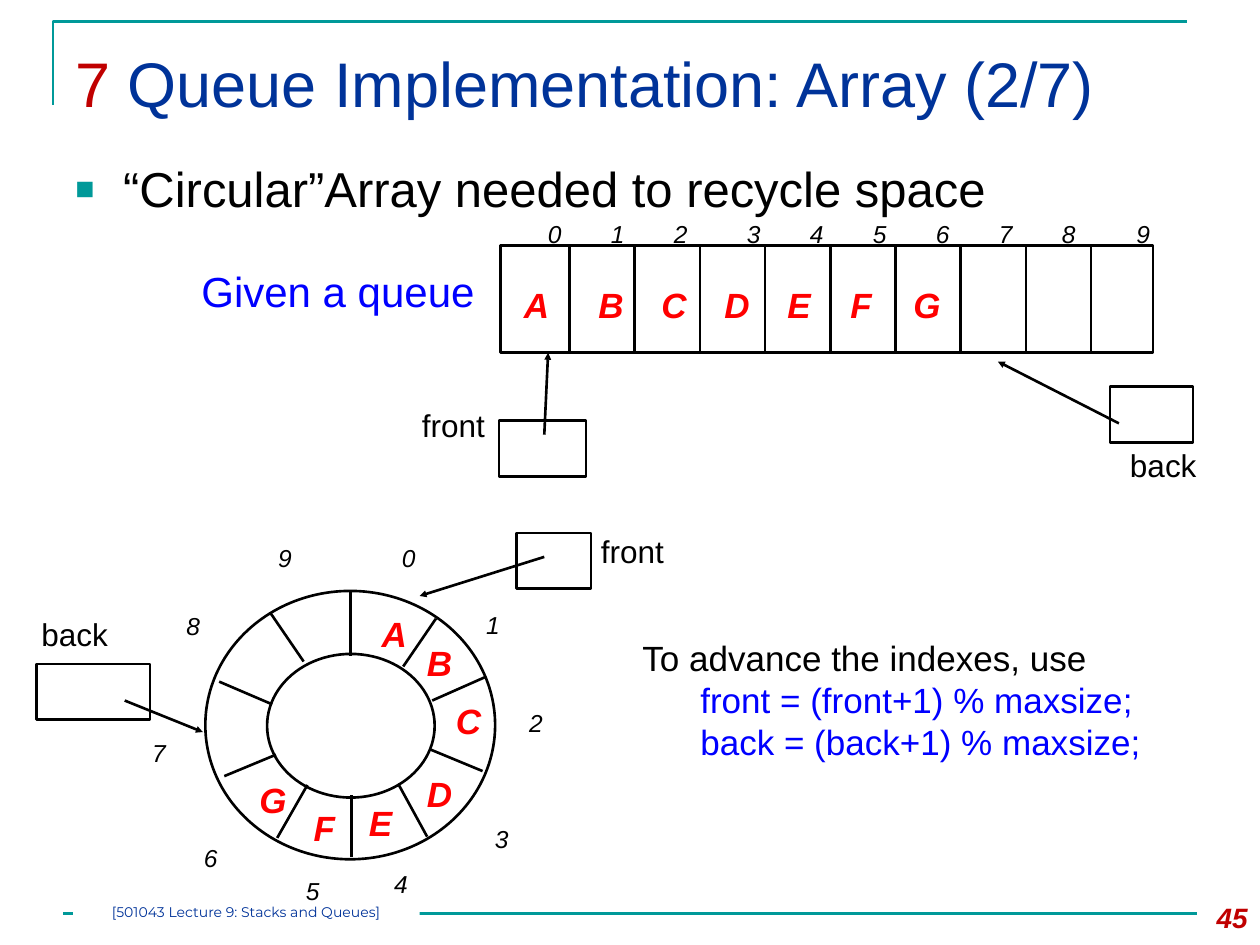
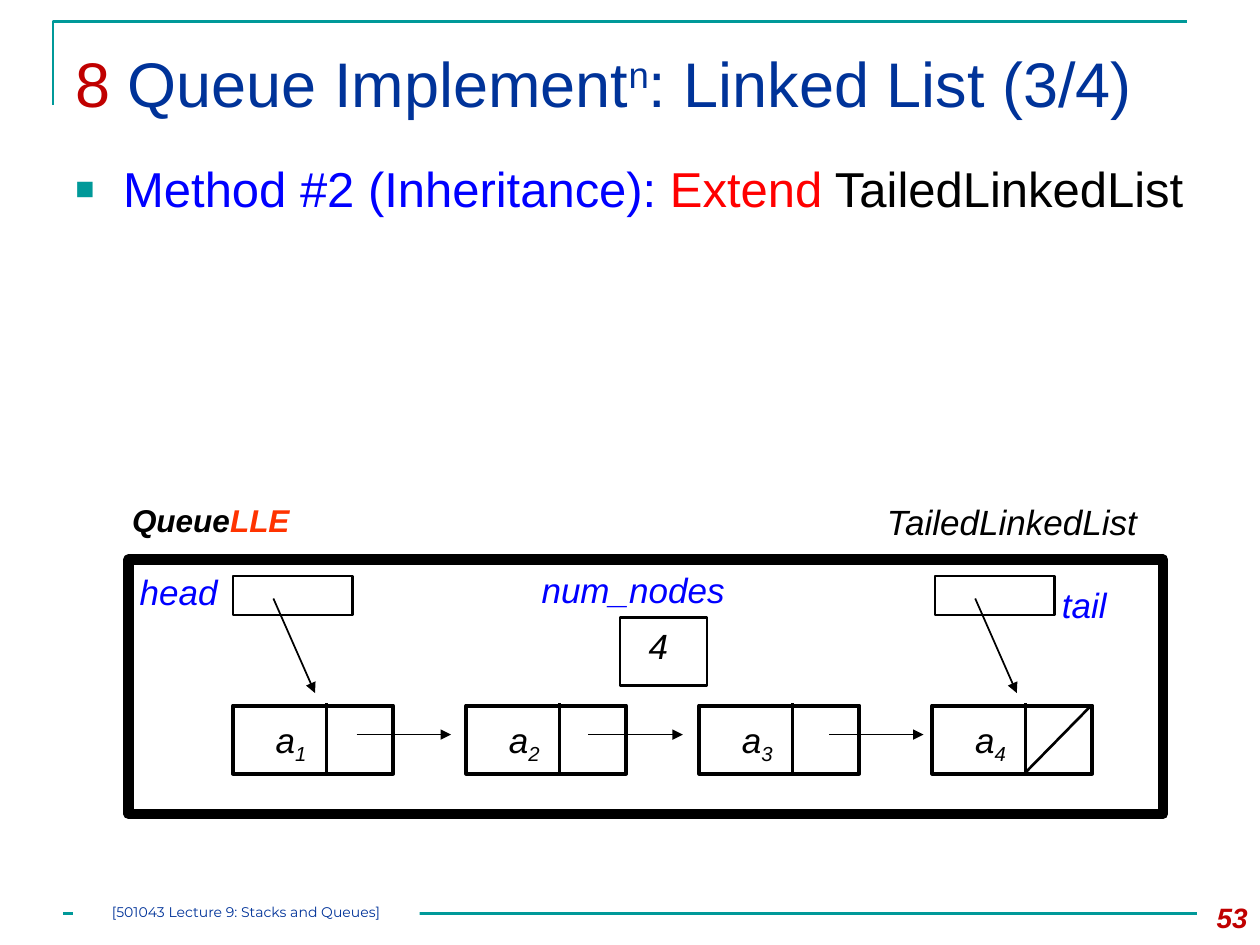
"""Builds two lecture slides on circular-array and linked-list queues."""
from lxml import etree
from pptx import Presentation, util as u
from pptx.dml.color import RGBColor
from pptx.enum import shapes, text
from pptx.oxml.ns import qn

TEAL = RGBColor(0x00, 0x99, 0x99)
NAVY = RGBColor(0x00, 0x33, 0x99)
CRIMSON = RGBColor(0xC0, 0x00, 0x00)
RED = RGBColor(0xFF, 0x00, 0x00)
ORANGE = RGBColor(0xFF, 0x33, 0x00)
BLUE = RGBColor(0x00, 0x00, 0xFF)
BLACK = RGBColor(0x00, 0x00, 0x00)
WHITE = RGBColor(0xFF, 0xFF, 0xFF)
CM_PER_UNIT = 2.54

FOOTER = "[501043 Lecture 9: Stacks and Queues]"
ARRAY_SLIDE = {
    "number": 45,
    "title": [("7 ", {"color": CRIMSON}), "Queue Implementation: Array (2/7)"],
    "bullet": ["“Circular”Array needed to recycle space"],
}
LIST_SLIDE = {
    "number": 53,
    "title": [("8 ", {"color": CRIMSON}), "Queue Implement", ("n", {"baseline": 30}),
              ": Linked List (3/4)"],
    "bullet": [("Method #2 (Inheritance): ", {"color": BLUE}), ("Extend", {"color": RED}),
               " TailedLinkedList"],
}

ITEMS = "ABCDEFG"
ITEM_WIDTHS = (0.4, 0.4, 0.4, 0.4, 0.39, 0.37, 0.42)
ARRAY_ITEMS = [(x, 2.2) for x in (4.06, 4.65, 5.15, 5.65, 6.15, 6.65, 7.15)]
RING_ITEMS = [(2.93, 4.81), (3.29, 5.04), (3.52, 5.5), (3.29, 6.08), (2.83, 6.31),
              (2.39, 6.35), (1.96, 6.13)]
ARRAY_INDEXES = [(x, 1.69) for x in
                 (4.25, 4.75, 5.25, 5.83, 6.33, 6.83, 7.33, 7.83, 8.33, 8.92)]
RING_INDEXES = [(3.09, 4.26), (3.76, 4.79), (4.1, 5.57), (3.83, 6.49), (3.03, 6.85),
                (2.33, 6.9), (1.52, 6.64), (1.11, 5.81), (1.38, 4.8), (2.11, 4.26)]
RINGS = [(1.63, 4.69, 2.3, 2.13), (2.12, 5.19, 1.33, 1.14)]
SPOKES = [(2.78, 4.69, 2.78, 5.21), (3.46, 4.91, 3.2, 5.29), (3.86, 5.37, 3.43, 5.56),
          (3.83, 6.12, 3.42, 5.95), (3.39, 6.64, 3.16, 6.22), (2.79, 6.8, 2.79, 6.31),
          (2.2, 6.65, 2.44, 6.23), (1.78, 6.16, 2.19, 5.99), (1.74, 5.41, 2.16, 5.59),
          (2.15, 4.87, 2.41, 5.25)]
POINTERS = [
    ("front", (3.25, 3.17, 0.71, 0.4), (3.96, 3.34, 0.69, 0.44), (4.32, 3.45, 4.35, 2.8)),
    ("back", (8.87, 3.49, 0.73, 0.4), (8.81, 3.07, 0.66, 0.44), (8.88, 3.36, 7.92, 2.87)),
    ("front", (4.67, 4.17, 0.71, 0.4), (4.1, 4.23, 0.59, 0.44), (4.32, 4.42, 3.33, 4.73)),
    ("back", (0.23, 4.83, 0.73, 0.4), (0.29, 5.27, 0.9, 0.44), (0.99, 5.56, 1.61, 5.81)),
]
ADVANCE = ["To advance the indexes, use"]
ADVANCE_CODE = ["front = (front+1) % maxsize;", "back = (back+1) % maxsize;"]

NODE_LEFT, NODE_STEP, NODE_COUNT = 1.85, 1.85, 4
NEXT_LINKS = (2.83, 4.67, 6.58)
ENDS = [("head", (1.01, 4.48, 0.82, 0.43), 1.85), ("tail", (8.33, 4.58, 0.56, 0.44), 7.42)]


def lengths(*values):
    """Turn layout units into lengths."""
    return [u.Cm(value * CM_PER_UNIT) for value in values]


def write(slide, box, paragraphs, size=20, color=BLACK, font="Arial", bold=False,
          italic=False, align=None, wrap=False, fill=None, inset=(0.1, 0.05),
          indents=(), bullet=False):
    """Write paragraphs of runs; a run is a string or (string, overrides)."""
    area = slide.shapes.add_textbox(*lengths(*box))
    if fill is not None:
        area.fill.solid()
        area.fill.fore_color.rgb = fill
    frame = area.text_frame
    frame.word_wrap = wrap
    frame.margin_left, frame.margin_top = lengths(*inset)
    frame.margin_right, frame.margin_bottom = lengths(inset[0], min(inset[1], 0.05))
    for order, runs in enumerate(paragraphs):
        paragraph = frame.paragraphs[0] if order == 0 else frame.add_paragraph()
        paragraph.alignment = align
        if order < len(indents):
            paragraph._p.get_or_add_pPr().set("marL", str(lengths(indents[order])[0]))
        if bullet:
            add_bullet(paragraph)
        for entry in runs:
            words, changes = (entry, {}) if isinstance(entry, str) else entry
            run = paragraph.add_run()
            run.text = words
            run.font.name, run.font.size = font, u.Pt(size)
            run.font.bold, run.font.italic = bold, italic
            run.font.color.rgb = changes.get("color", color)
            if "baseline" in changes:
                run._r.get_or_add_rPr().set("baseline", str(changes["baseline"] * 1000))


def add_bullet(paragraph):
    """Give a paragraph a hanging teal square."""
    properties = paragraph._p.get_or_add_pPr()
    hanging = lengths(0.38)[0]
    properties.set("marL", str(hanging))
    properties.set("indent", str(-hanging))
    tint = etree.SubElement(properties, qn("a:buClr"))
    etree.SubElement(tint, qn("a:srgbClr"), val=str(TEAL))
    etree.SubElement(properties, qn("a:buSzPct"), val="65000")
    etree.SubElement(properties, qn("a:buFont"), typeface="Arial")
    etree.SubElement(properties, qn("a:buChar"), char="■")


def outline(shape, width, color=BLACK):
    """Leave a shape unfilled with a plain outline."""
    shape.shadow.inherit = False
    shape.fill.background()
    shape.line.color.rgb = color
    shape.line.width = u.Pt(width)


def draw(slide, box, width=1.5, kind=shapes.MSO_SHAPE.RECTANGLE):
    """Draw an outlined preset shape."""
    outline(slide.shapes.add_shape(kind, *lengths(*box)), width)


def connect(slide, ends, width=1.5, color=BLACK, head=None):
    """Draw a straight line, with an arrowhead of the given size if any."""
    line = slide.shapes.add_connector(shapes.MSO_CONNECTOR.STRAIGHT, *lengths(*ends))
    line.line.color.rgb = color
    line.line.width = u.Pt(width)
    properties = line._element.spPr
    if head:
        etree.SubElement(properties.find(qn("a:ln")), qn("a:tailEnd"),
                         type="triangle", w=head, len=head)
    etree.SubElement(properties, qn("a:effectLst"))


def start_slide(deck, content):
    """Add a slide with its corner, rule, title, bullet and number."""
    slide = deck.slides.add_slide(deck.slide_layouts[6])
    builder = slide.shapes.build_freeform(*lengths(0.42, 0.83))
    builder.add_line_segments([lengths(0.42, 0.17), lengths(9.42, 0.17)], close=False)
    outline(builder.convert_to_shape(), 1.5, TEAL)
    connect(slide, (0.5, 7.25, 9.5, 7.25), color=TEAL)
    write(slide, (0.5, 0.25, 9, 0.86), [content["title"]], size=36, color=NAVY,
          wrap=True, inset=(0.1, 0.1))
    write(slide, (0.5, 1.17, 9.17, 0.75), [content["bullet"]], size=28, wrap=True,
          inset=(0.1, 0.09), bullet=True)
    write(slide, (9.33, 7.1, 0.67, 0.4), [[str(content["number"])]], size=16,
          color=CRIMSON, bold=True, italic=True, align=text.PP_ALIGN.RIGHT, wrap=True)
    write(slide, (0.58, 7.17, 2.75, 0.17), [[FOOTER]], size=8, color=NAVY,
          font="Montserrat", align=text.PP_ALIGN.CENTER, wrap=True, fill=WHITE, inset=(0, 0))
    return slide


def build_array_slide(deck):
    """Show the queue as a row of cells and as a ring."""
    slide = start_slide(deck, ARRAY_SLIDE)
    write(slide, (1.5, 2.02, 2.42, 0.58), [["Given a queue"]], size=24, color=BLUE,
          wrap=True, inset=(0.1, 0.09))
    draw(slide, (3.97, 1.95, 5.18, 0.85))
    for cell in range(9):
        divider = 4.52 + 0.5175 * cell
        connect(slide, (divider, 1.95, divider, 2.8))
    for ring in RINGS:
        draw(slide, ring, kind=shapes.MSO_SHAPE.OVAL)
    for spoke in SPOKES:
        connect(slide, spoke)
    for places in (ARRAY_ITEMS, RING_ITEMS):
        for item, place, width in zip(ITEMS, places, ITEM_WIDTHS):
            write(slide, (*place, width, 0.43), [[item]], color=RED, bold=True, italic=True)
    for places in (ARRAY_INDEXES, RING_INDEXES):
        for index, place in enumerate(places):
            write(slide, (*place, 0.31, 0.33), [[str(index)]], size=14, italic=True)
    for name, label, box, arrow in POINTERS:
        draw(slide, box)
        connect(slide, arrow, head="sm")
        write(slide, label, [[name]], size=18)
    code = [[(line, {"color": BLUE})] for line in ADVANCE_CODE]
    write(slide, (5, 5, 4.75, 1.11), [ADVANCE, *code], wrap=True, indents=(0, 0.46, 0.46))


def build_list_slide(deck):
    """Show the queue as a linked list with head and tail."""
    slide = start_slide(deck, LIST_SLIDE)
    write(slide, (4.2, 4.46, 1.8, 0.44), [["num_nodes"]], color=BLUE, italic=True,
          wrap=True, fill=WHITE)
    draw(slide, (4.92, 4.9, 0.69, 0.54))
    write(slide, (5.05, 4.91, 0.39, 0.44), [[str(NODE_COUNT)]], italic=True, wrap=True)
    draw(slide, (1.02, 4.44, 8.21, 2.02), width=6)
    for order in range(NODE_COUNT):
        left = NODE_LEFT + NODE_STEP * order
        draw(slide, (left, 5.6, 1.27, 0.54), width=2.25)
        connect(slide, (left + 0.74, 5.58, left + 0.74, 6.13))
        write(slide, (left + 0.24, 5.65, 0.46, 0.43),
              [["a", (str(order + 1), {"baseline": -25})]], italic=True)
    connect(slide, (8.65, 5.61, 8.13, 6.14))
    for link in NEXT_LINKS:
        connect(slide, (link, 5.83, link + 0.75, 5.83), width=1, head="med")
    for name, label, left in ENDS:
        draw(slide, (left, 4.57, 0.95, 0.31))
        connect(slide, (left + 0.32, 4.75, left + 0.65, 5.5), width=1, head="med")
        write(slide, label, [[name]], color=BLUE, italic=True)
    write(slide, (0.95, 3.93, 1.46, 0.4), [["Queue", ("LLE", {"color": ORANGE})]],
          size=18, bold=True, italic=True)
    write(slide, (6.94, 3.92, 2.21, 0.44), [["TailedLinkedList"]], italic=True)


def main():
    """Build and save the deck."""
    deck = Presentation()
    deck.slide_width, deck.slide_height = lengths(10, 7.5)
    build_array_slide(deck)
    build_list_slide(deck)
    deck.save("out.pptx")


if __name__ == "__main__":
    main()
